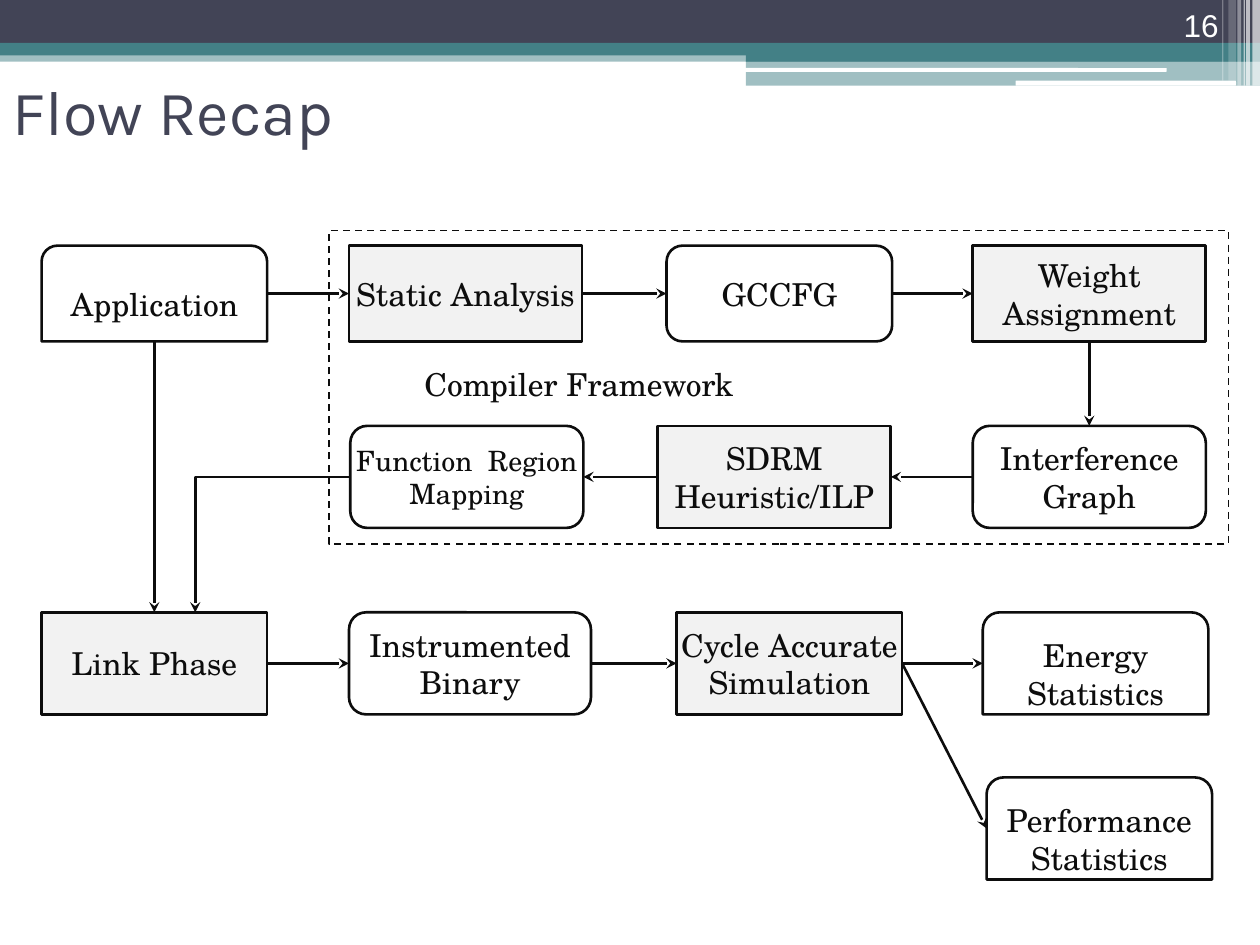
from dataclasses import dataclass

from lxml.etree import SubElement
from pptx import Presentation
from pptx.dml.color import RGBColor
from pptx.enum.dml import MSO_LINE
from pptx.enum.shapes import MSO_CONNECTOR, MSO_SHAPE
from pptx.enum.text import MSO_ANCHOR, MSO_AUTO_SIZE, PP_ALIGN
from pptx.oxml.ns import qn
from pptx.util import Inches, Pt


@dataclass(frozen=True)
class Theme:
    navy: str = "424456"
    teal: str = "438086"
    white: str = "FFFFFF"
    ink: str = "0D0D0D"
    grey: str = "F2F2F2"
    head: str = "Karla"
    body: str = "TeX Gyre Schola"
    plain: str = "Arial"
    big: int = 36
    mid: int = 18
    small: int = 16
    thick: float = 1.5
    thin: float = 1


RECT = MSO_SHAPE.RECTANGLE
ROUND = MSO_SHAPE.ROUNDED_RECTANGLE
TAB = MSO_SHAPE.ROUND_2_SAME_RECTANGLE
TOP, LEFT, BOTTOM, RIGHT = range(4)


class Deck:
    """Holds the theme and the current slide."""

    def __init__(self, theme):
        self.theme = theme
        self.show = Presentation()
        self.show.slide_width, self.show.slide_height = Inches(10), Inches(7.5)
        self.slide = self.show.slides.add_slide(self.show.slide_layouts[5])

    def letter(self, shape, text, face, size, tint, align=PP_ALIGN.CENTER,
               anchor=MSO_ANCHOR.MIDDLE, pad=(0, 0, 0, 0)):
        frame = shape.text_frame
        frame.text = text
        left, top, right, low = map(Inches, pad)
        form = {"word_wrap": True, "auto_size": MSO_AUTO_SIZE.NONE,
                "vertical_anchor": anchor, "margin_left": left,
                "margin_top": top, "margin_right": right, "margin_bottom": low}
        for name, value in form.items():
            setattr(frame, name, value)
        line = frame.paragraphs[0]
        line.alignment = align
        for name, value in {"name": face, "size": Pt(size)}.items():
            setattr(line.font, name, value)
        line.font.color.rgb = RGBColor.from_string(tint)

    def title(self, text, at):
        shape = self.slide.shapes.title
        for name, value in zip(("left", "top", "width", "height"), at):
            setattr(shape, name, Inches(value))
        self.letter(shape, text, self.theme.head, self.theme.big,
                    self.theme.navy, PP_ALIGN.LEFT, pad=(0.1, 0.05, 0.1, 0.05))

    def label(self, text, at, **form):
        box = self.slide.shapes.add_textbox(*map(Inches, at))
        style = {"face": self.theme.body, "size": self.theme.mid,
                 "tint": self.theme.ink}
        self.letter(box, text, **(style | form))

    def shape(self, kind, at, fill=None, line=None):
        shape = self.slide.shapes.add_shape(kind, *map(Inches, at))
        shape.shadow.inherit = False
        if fill:
            shape.fill.solid()
            shape.fill.fore_color.rgb = RGBColor.from_string(fill)
        else:
            shape.fill.background()
        if line:
            shape.line.color.rgb = RGBColor.from_string(self.theme.ink)
            shape.line.width = Pt(line)
        else:
            shape.line.fill.background()
        return shape

    def band(self, at, fill, alpha=100, kind=RECT):
        shape = self.shape(kind, at, fill)
        if alpha < 100:
            tint = next(shape._element.spPr.iter(qn("a:srgbClr")))
            SubElement(tint, qn("a:alpha"), val=str(alpha * 1000))

    def node(self, kind, text, at, size=None):
        fill = self.theme.grey if kind == RECT else None
        shape = self.shape(kind, at, fill, self.theme.thick)
        drop = 0.13 if kind == TAB else 0
        self.letter(shape, text, self.theme.body, size or self.theme.mid,
                    self.theme.ink, pad=(0, drop, 0, 0))
        return shape

    def frame(self, at):
        shape = self.shape(RECT, at, line=self.theme.thin)
        shape.line.dash_style = MSO_LINE.DASH

    def link(self, kind, start, end):
        line = self.slide.shapes.add_connector(kind, *start, *end)
        line.line.color.rgb = RGBColor.from_string(self.theme.ink)
        line.line.width = Pt(self.theme.thick)
        props = line._element.spPr
        SubElement(props.find(qn("a:ln")), qn("a:tailEnd"), type="stealth")
        SubElement(props, qn("a:effectLst"))
        return line

    def arrow(self, first, out, last, into):
        line = self.link(MSO_CONNECTOR.STRAIGHT, side(first, out), side(last, into))
        # Only four-sided boxes number their joints from the top
        if first.auto_shape_type != TAB:
            line.begin_connect(first, out)
        if last.auto_shape_type != TAB:
            line.end_connect(last, into)

    def elbow(self, start, end):
        line = self.link(MSO_CONNECTOR.ELBOW, start, end)
        line._element.spPr.find(qn("a:prstGeom")).set("prst", "bentConnector2")


def side(shape, spot):
    """Middle of one side of a box."""
    across = {LEFT: 0, RIGHT: 2}.get(spot, 1)
    down = {TOP: 0, BOTTOM: 2}.get(spot, 1)
    return (shape.left + shape.width * across // 2,
            shape.top + shape.height * down // 2)


def main():
    theme = Theme()
    deck = Deck(theme)

    # Header bands
    deck.band((0, 0.4, 10, 0.09), theme.teal, 50)
    deck.band((0, 0, 10, 0.34), theme.navy)
    deck.band((0, 0.34, 10, 0.1), theme.teal)
    deck.band((5.92, 0.39, 4.08, 0.1), theme.teal)
    deck.band((5.92, 0.48, 4.08, 0.2), theme.teal, 50)
    deck.band((5.91, 0.54, 3.35, 0.03), theme.white, kind=ROUND)
    deck.band((8.06, 0.64, 1.75, 0.04), theme.white, kind=ROUND)

    # Pale stripes at the right edge
    for left, wide, high, alpha in ((9.94, 0.06, 0.68, 65), (9.89, 0.03, 0.68, 65),
                                    (9.87, 0.01, 0.68, 60), (9.82, 0.03, 0.68, 40),
                                    (9.75, 0.06, 0.64, 20), (9.7, 0.01, 0.64, 30)):
        deck.band((left, 0, wide, high), theme.white, alpha)

    # Title and page number
    deck.title("Flow Recap", (0, 0.5, 9, 0.75))
    deck.label("16", (8.94, 0, 0.83, 0.4), face=theme.plain, tint=theme.white,
               align=PP_ALIGN.RIGHT, anchor=MSO_ANCHOR.BOTTOM,
               pad=(0.1, 0.05, 0.1, 0.05))

    # Flow boxes, row by row: kind, text, left, width
    rows = (
        (1.95, 0.76, ((TAB, "Application", 0.33, 1.79),
                      (RECT, "Static Analysis", 2.77, 1.85),
                      (ROUND, "GCCFG", 5.29, 1.79),
                      (RECT, "Weight Assignment", 7.72, 1.85))),
        (3.38, 0.81, ((ROUND, "Function  Region Mapping", 2.78, 1.85, theme.small),
                      (RECT, "SDRM Heuristic/ILP", 5.22, 1.85),
                      (ROUND, "Interference Graph", 7.72, 1.85))),
        (4.86, 0.81, ((RECT, "Link Phase", 0.33, 1.79),
                      (ROUND, "Instrumented Binary", 2.77, 1.92),
                      (RECT, "Cycle Accurate Simulation", 5.37, 1.79),
                      (TAB, "Energy Statistics", 7.8, 1.79))),
        (6.17, 0.81, ((TAB, "Performance Statistics", 7.83, 1.79),)),
    )
    upper, inner, lower, extra = (
        [deck.node(kind, text, (left, top, wide, high), *size)
         for kind, text, left, wide, *size in row]
        for top, high, row in rows)

    # Arrows along the rows
    for row in (upper, lower):
        for first, last in zip(row, row[1:]):
            deck.arrow(first, RIGHT, last, LEFT)
    for last, first in zip(inner, inner[1:]):
        deck.arrow(first, LEFT, last, RIGHT)

    # Arrows between the rows
    deck.arrow(upper[-1], BOTTOM, inner[-1], TOP)
    deck.arrow(upper[0], BOTTOM, lower[0], TOP)
    deck.arrow(lower[2], RIGHT, extra[0], LEFT)
    deck.elbow(side(inner[0], LEFT), (Inches(1.55), lower[0].top))

    # Compiler frame and its caption
    deck.frame((2.61, 1.83, 7.14, 2.49))
    deck.label("Compiler Framework", (2.77, 2.71, 3.65, 0.67))

    deck.show.save("out.pptx")


if __name__ == "__main__":
    main()
